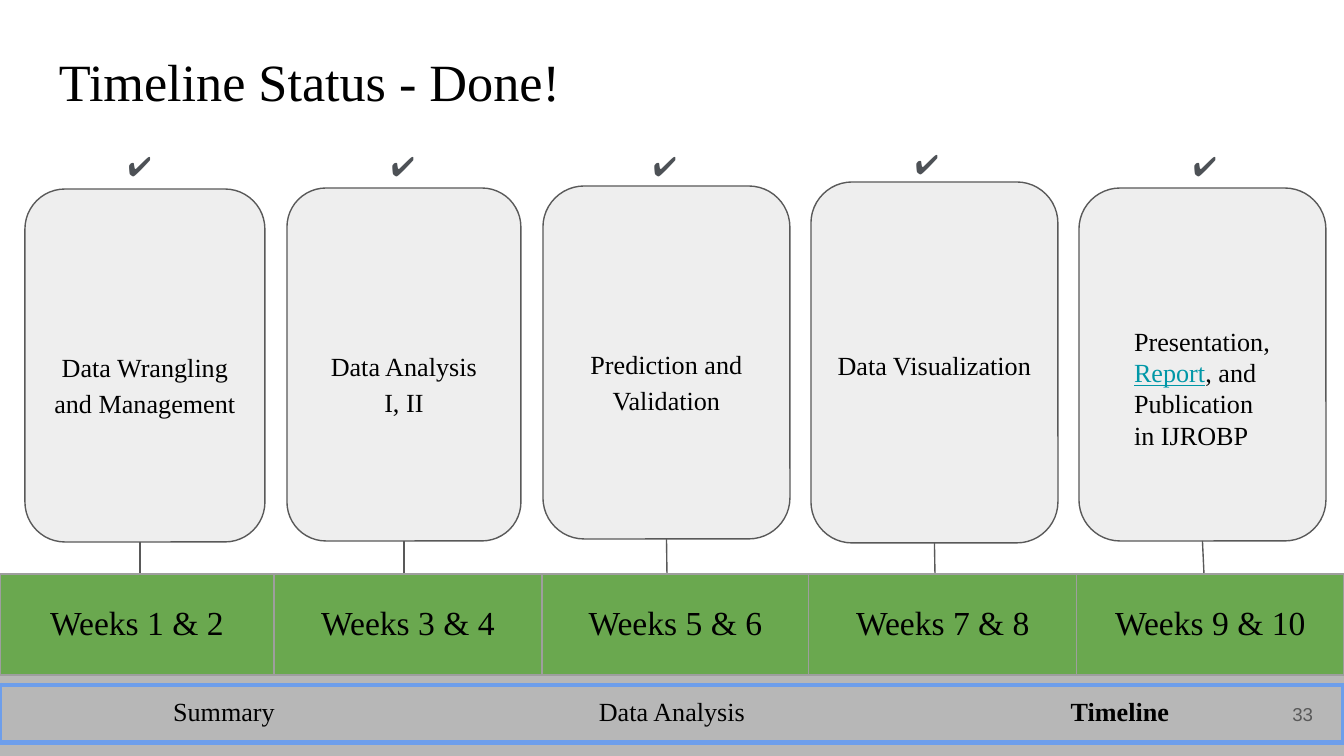
from lxml.etree import SubElement
from pptx import Presentation
from pptx.dml.color import RGBColor
from pptx.enum.shapes import MSO_CONNECTOR, MSO_SHAPE
from pptx.enum.text import MSO_ANCHOR, PP_ALIGN
from pptx.oxml.ns import qn
from pptx.util import Emu, Pt

EMU_PER_PX = 914400 / 134.4
INSET = 13
BLACK, GRAY, TEAL = "000000", "595959", "0097A7"
CARD_FILL, GREEN, BLUE = "EEEEEE", "6AA84F", "6D9EEB"
SERIF = "Times New Roman"


def px(length):
    return Emu(round(length * EMU_PER_PX))


def color(hex_text):
    return RGBColor.from_string(hex_text)


class TimelineSlide:
    def __init__(self, presentation):
        self.slide = presentation.slides.add_slide(presentation.slide_layouts[5])
        self.shapes = self.slide.shapes

    def format_run(self, run, size, hex_text=BLACK, font=SERIF):
        run.font.size = Pt(size)
        run.font.name = font
        run.font.color.rgb = color(hex_text)

    def fill_text(self, frame, text, size, hex_text=BLACK, font=SERIF,
                  align=PP_ALIGN.LEFT, anchor=MSO_ANCHOR.TOP, spacing=None, top_inset=INSET):
        frame.margin_left = frame.margin_right = frame.margin_bottom = px(INSET)
        frame.margin_top = px(top_inset)
        frame.vertical_anchor = anchor
        frame.text = text
        for paragraph in frame.paragraphs:
            paragraph.alignment = align
            paragraph.line_spacing = spacing
            for run in paragraph.runs:
                self.format_run(run, size, hex_text, font)

    def title(self, text, left, top, width, height):
        title = self.shapes.title
        title.left, title.top, title.width, title.height = map(px, (left, top, width, height))
        self.fill_text(title.text_frame, text, 28)

    def text(self, text, left, top, width, height, size, wrap=True, **style):
        box = self.shapes.add_textbox(*map(px, (left, top, width, height)))
        box.text_frame.word_wrap = wrap
        self.fill_text(box.text_frame, text, size, **style)
        return box.text_frame

    def box(self, preset, left, top, width, height, fill, line=None):
        box = self.shapes.add_shape(preset, *map(px, (left, top, width, height)))
        box.shadow.inherit = False
        box.fill.solid()
        box.fill.fore_color.rgb = color(fill)
        if line:
            box.line.color.rgb = color(line)
            box.line.width = Pt(0.75)
        else:
            box.line.fill.background()
        return box

    def card(self, text, left, top, width, height, top_inset):
        card = self.box(MSO_SHAPE.ROUNDED_RECTANGLE, left, top, width, height, CARD_FILL, GRAY)
        if text:
            self.fill_text(card.text_frame, text, 14, align=PP_ALIGN.CENTER,
                           anchor=MSO_ANCHOR.MIDDLE, spacing=1.15, top_inset=top_inset)
        return card

    def stem(self, start, end, card=None):
        """Draw a line from start to end, joined to the card's bottom when one is given."""
        stem = self.shapes.add_connector(MSO_CONNECTOR.STRAIGHT, *map(px, (*start, *end)))
        if card:
            stem.begin_connect(card, 2)
        stem.line.color.rgb = color(GRAY)
        stem.line.width = Pt(0.75)
        SubElement(stem._element.spPr, qn("a:effectLst"))

    def border(self, cell, sides, hex_text, points):
        """Line the named sides of a cell and clear the others."""
        properties = cell._tc.get_or_add_tcPr()
        for side in "LRTB":
            line = SubElement(properties, qn(f"a:ln{side}"), w=str(Pt(points)))
            if side in sides:
                fill = SubElement(line, qn("a:solidFill"))
                SubElement(fill, qn("a:srgbClr"), val=hex_text)
            else:
                SubElement(line, qn("a:noFill"))

    def row_table(self, labels, top, widths, height, size, sides, line, points,
                  fill=None, anchor=MSO_ANCHOR.TOP):
        """Add a full-width table of one row; sides names the bordered sides of each cell."""
        table = self.shapes.add_table(
            1, len(labels), *map(px, (0, top, sum(widths), height))).table
        table.first_row = table.horz_banding = False
        for column, (label, width) in enumerate(zip(labels, widths)):
            table.columns[column].width = px(width)
            cell = table.cell(0, column)
            self.border(cell, sides[column], line, points)
            if fill:
                cell.fill.solid()
                cell.fill.fore_color.rgb = color(fill)
            else:
                cell.fill.background()
            self.fill_text(cell.text_frame, label, size, align=PP_ALIGN.CENTER)
            cell.margin_left = cell.margin_right = px(INSET)
            cell.margin_top = cell.margin_bottom = px(INSET)
            cell.vertical_anchor = anchor
        return table


def main():
    presentation = Presentation()
    presentation.slide_width, presentation.slide_height = px(1344), px(756)
    timeline = TimelineSlide(presentation)

    timeline.title("Timeline Status - Done!", 46, 36, 1252, 85)
    timeline.box(MSO_SHAPE.RECTANGLE, 0, 672, 1344, 84, "B7B7B7")

    lowered = 48
    # text, left, top, width, height, top inset, stem foot, check left, check top
    stages = [
        ("Data Wrangling and Management", 25, 189, 240, 353, lowered, 140, 115, 136),
        ("Data Analysis\nI, II", 287, 188, 234, 353, lowered, 404, 378, 136),
        ("Prediction and Validation", 543, 186, 247, 353, lowered, 667, 640, 136),
        ("Data Visualization", 811, 182, 247, 361, INSET, 935, 902, 134),
        (None, 1079, 188, 247, 353, INSET, 1204, 1180, 136),
    ]
    weeks_top = 574
    for text, left, top, width, height, inset, foot, check_left, check_top in stages:
        card = timeline.card(text, left, top, width, height, inset)
        centered = abs(left + width / 2 - foot) < 3
        timeline.stem((foot, top + height), (foot, weeks_top), card if centered else None)
        timeline.text("✔️", check_left, check_top, 52, 46, 14.5, wrap=False,
                      hex_text="4D5156", font="Roboto")

    delivery = timeline.text("Presentation, ", 1121, 312, 164, 51, 14).paragraphs[0]
    for text, hex_text in (("Report", TEAL), (", and Publication in IJROBP", BLACK)):
        run = delivery.add_run()
        run.text = text
        timeline.format_run(run, 14, hex_text)
        run.font.underline = hex_text == TEAL

    weeks = ["Weeks 1 & 2", "Weeks 3 & 4", "Weeks 5 & 6", "Weeks 7 & 8", "Weeks 9 & 10"]
    timeline.row_table(weeks, weeks_top, [274, 268, 267, 268, 267], 101, 18,
                       ["LRTB"] * 5, "9E9E9E", 0.75, GREEN, MSO_ANCHOR.MIDDLE)
    sections = timeline.row_table(["Summary", "Data Analysis", "Timeline"], 685, [448] * 3, 57,
                                  14, ["LTB", "TB", "RTB"], BLUE, 3)
    sections.cell(0, 2).text_frame.paragraphs[0].runs[0].font.bold = True
    timeline.text("33", 1246, 685, 80, 58, 10, hex_text=GRAY, font="Arial",
                  align=PP_ALIGN.RIGHT, anchor=MSO_ANCHOR.MIDDLE)

    presentation.save("out.pptx")


if __name__ == "__main__":
    main()
